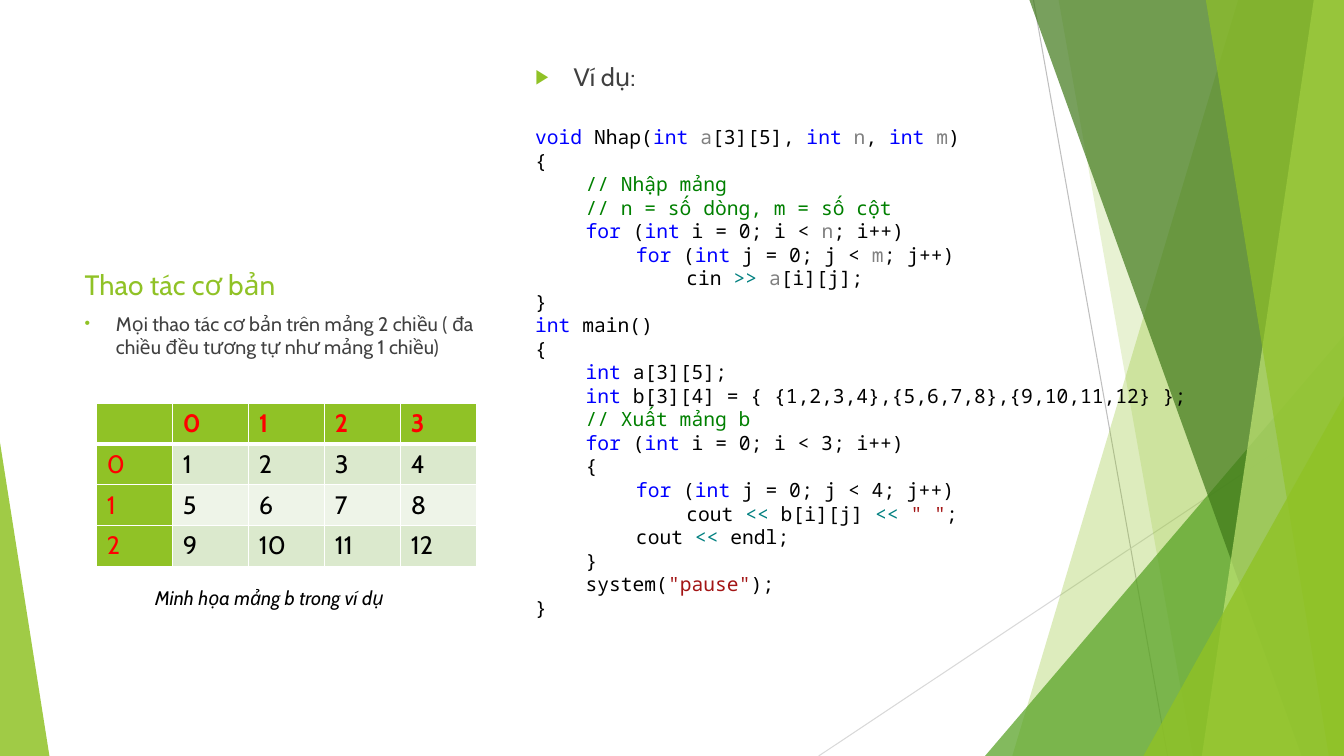
from lxml import etree
from pptx import Presentation
from pptx.dml.color import RGBColor
from pptx.enum import shapes, text
from pptx.oxml import ns
from pptx.util import Inches, Pt

GREEN = RGBColor(0x90, 0xC2, 0x26)
LEAF = RGBColor(0x54, 0xA0, 0x21)
MOSS = RGBColor(0x3F, 0x78, 0x19)
LIME = RGBColor(0xC0, 0xE4, 0x74)
PALE = RGBColor(0xDB, 0xE9, 0xCD)
MIST = RGBColor(0xEE, 0xF4, 0xE8)
WHITE = RGBColor(0xFF, 0xFF, 0xFF)
BLACK = RGBColor(0, 0, 0)
DARK = RGBColor(0x40, 0x40, 0x40)
GRAY = RGBColor(0xBF, 0xBF, 0xBF)
SILVER = RGBColor(0xD9, 0xD9, 0xD9)
RED = RGBColor(0xFF, 0, 0)
BLUE = RGBColor(0, 0, 0xFF)
ASH = RGBColor(0x80, 0x80, 0x80)
FOREST = RGBColor(0, 0x80, 0)
TEAL = RGBColor(0, 0x80, 0x80)
BRICK = RGBColor(0xA3, 0x15, 0x15)

WIDE, HIGH = 13.33, 7.5
SANS, MONO = "Cabin", "Noto Sans Mono"

# Each "~" starts a run; the letter after it picks the colour.
INKS = {".": BLACK, "k": BLUE, "v": ASH, "c": FOREST, "o": TEAL, "s": BRICK}
CODE = """\
~kvoid ~.Nhap(~kint ~va~.[3][5], ~kint ~vn~., ~kint ~vm~.)
~.{
~c\t// Nhập mảng
~c\t// n = số dòng, m = số cột
~k\tfor ~.(~kint~. i = 0; i < ~vn~.; i++)
~k\t\tfor ~.(~kint~. j = 0; j < ~vm~.; j++)
~.\t\t\tcin ~o>> ~va~.[i][j];
~.}
~kint~. main()
~.{
~k\tint ~.a[3][5];
~k\tint ~.b[3][4] = { {1,2,3,4},{5,6,7,8},{9,10,11,12} };
~c\t// Xuất mảng b
~k\tfor ~.(~kint~. i = 0; i < 3; i++)
~.\t{
~k\t\tfor ~.(~kint~. j = 0; j < 4; j++)
~.\t\t\tcout ~o<<~. b[i][j] ~o<< ~s" "~.;
~.\t\tcout ~o<< ~.endl;
~.\t}
~.\tsystem(~s"pause"~.);
~.}"""


def add_node(root, tag, **attrs):
    """Append a drawing element and return it."""
    return etree.SubElement(root, ns.qn(tag), attrs)


def style(run, size, color, font=SANS, bold=False, italic=False):
    """Format one run."""
    face = run.font
    face.name, face.size, face.bold, face.italic = font, Pt(size), bold, italic
    face.color.rgb = color


def paint(shape, color, alpha):
    """Give a shape a see-through fill, no line and no shadow."""
    shape.shadow.inherit = False
    shape.line.fill.background()
    shape.fill.solid()
    shape.fill.fore_color.rgb = color
    tint = next(shape._element.spPr.iter(ns.qn("a:srgbClr")))
    add_node(tint, "a:alpha", val=str(alpha * 1000))


def draw_line(slide, start, end, color):
    """Draw a thin straight line."""
    line = slide.shapes.add_connector(
        shapes.MSO_CONNECTOR.STRAIGHT, *map(Inches, start + end))
    line.line.color.rgb = color
    line.line.width = Pt(0.75)
    add_node(line._element.spPr, "a:effectLst")


def draw_band(slide, box, top, foot, color, alpha):
    """Draw a band from two left corners to the right edge of the box."""
    left, y, width, height = box
    pen = slide.shapes.build_freeform(Inches(left + top), Inches(y), scale=1.0)
    rest = [(width, 0), (width, height), (foot, height)]
    pen.add_line_segments([(Inches(left + dx), Inches(y + dy)) for dx, dy in rest])
    paint(pen.convert_to_shape(), color, alpha)


def draw_wedge(slide, box, width, height, peak, color, alpha):
    """Draw a triangle in a lower corner; peak 1 is right, 0 is left."""
    left, top, wide, high = box
    wedge = slide.shapes.add_shape(
        shapes.MSO_SHAPE.ISOSCELES_TRIANGLE, Inches(left + peak * (wide - width)),
        Inches(top + high - height), Inches(width), Inches(height))
    wedge.adjustments[0] = peak
    paint(wedge, color, alpha)


def draw_facets(slide, box):
    """Draw the green facets along both sides of the box."""
    left, top, wide, high = box
    draw_line(slide, (left + 10.25, top), (left + 11.58, top + high), GRAY)
    draw_line(slide, (left + wide, top + 4.03), (left + 8.12, top + high), SILVER)
    draw_band(slide, box, 12.28, 10.04, GREEN, 30)
    draw_band(slide, box, 10.5, 11.83, GREEN, 20)
    draw_wedge(slide, box, 3.56, 4.17, 1, LEAF, 72)
    draw_band(slide, box, 10.21, 12.91, MOSS, 70)
    draw_band(slide, box, 13.03, 11.92, LIME, 70)
    draw_band(slide, box, 11.96, 13.18, GREEN, 65)
    draw_wedge(slide, box, 1.99, 3.57, 1, GREEN, 80)
    draw_wedge(slide, box, 0.49, 3.11, 0, GREEN, 85)


def fill_holder(slide, holder, box, words, size, color):
    """Place a placeholder in front, fill it and return its paragraph."""
    slide.shapes._spTree.append(holder._element)
    holder.left, holder.top, holder.width, holder.height = map(Inches, box)
    frame = holder.text_frame
    frame.text = words
    frame.word_wrap = True
    frame.auto_size = text.MSO_AUTO_SIZE.NONE
    para = frame.paragraphs[0]
    para.alignment = text.PP_ALIGN.LEFT
    style(para.runs[0], size, color)
    return para


def fill_title(slide, box):
    """Write the slide title at the bottom of its box."""
    title = slide.shapes.title
    fill_holder(slide, title, box, "Thao tác cơ bản", 20, GREEN)
    title.text_frame.vertical_anchor = text.MSO_ANCHOR.BOTTOM


def fill_list(slide, index, box, words, size, mark, indent):
    """Write a one-item list with a green bullet."""
    para = fill_holder(slide, slide.placeholders[index], box, words, size, DARK)
    para.space_before = Pt(10)
    props = para._p.get_or_add_pPr()
    props.set("marL", str(Inches(indent)))
    props.set("indent", str(-Inches(indent)))
    add_node(add_node(props, "a:buClr"), "a:srgbClr", val=str(GREEN))
    add_node(props, "a:buSzPct", val="80000")
    add_node(props, "a:buFont", typeface="Arial")
    add_node(props, "a:buChar", char=mark)


def add_code(slide, box):
    """Write the coloured program listing."""
    frame = slide.shapes.add_textbox(*map(Inches, box)).text_frame
    frame.word_wrap = True
    for row, line in enumerate(CODE.split("\n")):
        para = frame.add_paragraph() if row else frame.paragraphs[0]
        for piece in line.split("~")[1:]:
            run = para.add_run()
            run.text = piece[1:]
            style(run, 14, INKS[piece[0]], MONO)


def set_edges(cell, head):
    """Draw white cell borders, thicker below the header."""
    props = cell._tc.get_or_add_tcPr()
    for spot, side in enumerate(("a:lnL", "a:lnR", "a:lnT", "a:lnB")):
        thick = 3 if head and side == "a:lnB" else 1
        edge = etree.Element(ns.qn(side), w=str(Pt(thick)))
        add_node(add_node(edge, "a:solidFill"), "a:srgbClr", val=str(WHITE))
        props.insert(spot, edge)


def add_grid(slide, box):
    """Build the table of array b with its row and column indices."""
    rows, cols = 3, 4
    grid = slide.shapes.add_table(rows + 1, cols + 1, *map(Inches, box)).table
    for r in range(rows + 1):
        for c in range(cols + 1):
            cell = grid.cell(r, c)
            head, label = r == 0, r == 0 or c == 0
            cell.fill.solid()
            cell.fill.fore_color.rgb = GREEN if label else PALE if r % 2 else MIST
            set_edges(cell, head)
            if r or c:
                value = c - 1 if head else r - 1 if label else (r - 1) * cols + c
                cell.text_frame.text = str(value)
                run = cell.text_frame.paragraphs[0].runs[0]
                style(run, 18, RED if label else BLACK, bold=head)


def add_note(slide, box):
    """Write the caption below the table."""
    frame = slide.shapes.add_textbox(*map(Inches, box)).text_frame
    frame.word_wrap = True
    frame.text = "Minh họa mảng b trong ví dụ"
    style(frame.paragraphs[0].runs[0], 14, BLACK, italic=True)


def build_slide(deck):
    """Build the slide on basic array operations."""
    slide = deck.slides.add_slide(deck.slide_layouts.get_by_name("Content with Caption"))
    draw_facets(slide, (0, 0, WIDE, HIGH))
    fill_title(slide, (0.74, 1.64, 4.22, 1.4))
    fill_list(slide, 1, (5.21, 0.56, 4.94, 6.04), "Ví dụ:", 18, "▶", 0.38)
    fill_list(slide, 2, (0.74, 3.04, 4.22, 2.83),
              "Mọi thao tác cơ bản trên mảng 2 chiều ( đa chiều đều tương tự "
              "như mảng 1 chiều)", 14, "•", 0.31)
    add_code(slide, (5.21, 1.19, 6.67, 5.05))
    add_grid(slide, (0.96, 4, 3.77, 1.62))
    add_note(slide, (1.44, 5.76, 3.77, 0.34))


deck = Presentation()
deck.slide_width, deck.slide_height = Inches(WIDE), Inches(HIGH)
build_slide(deck)
deck.save("out.pptx")
